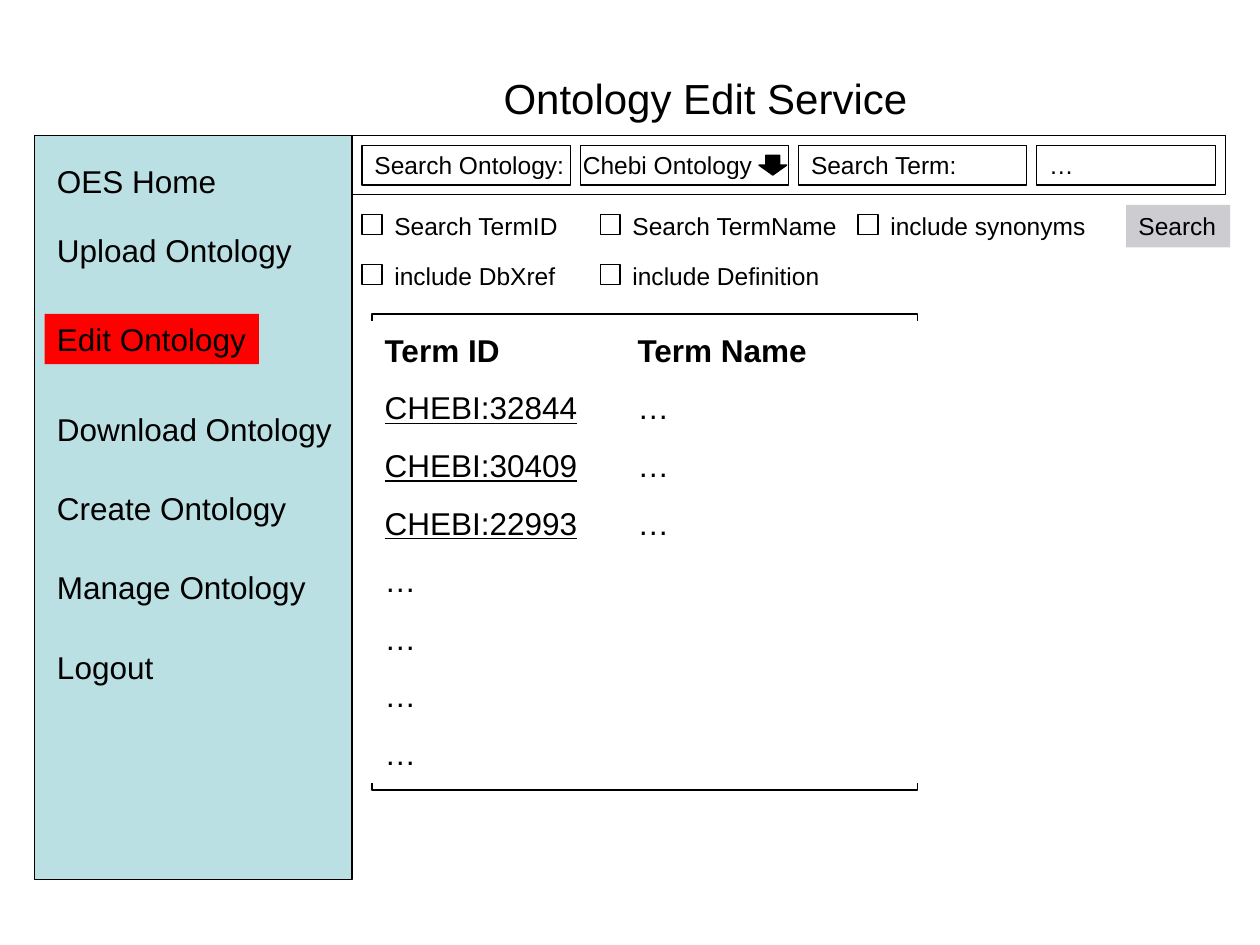
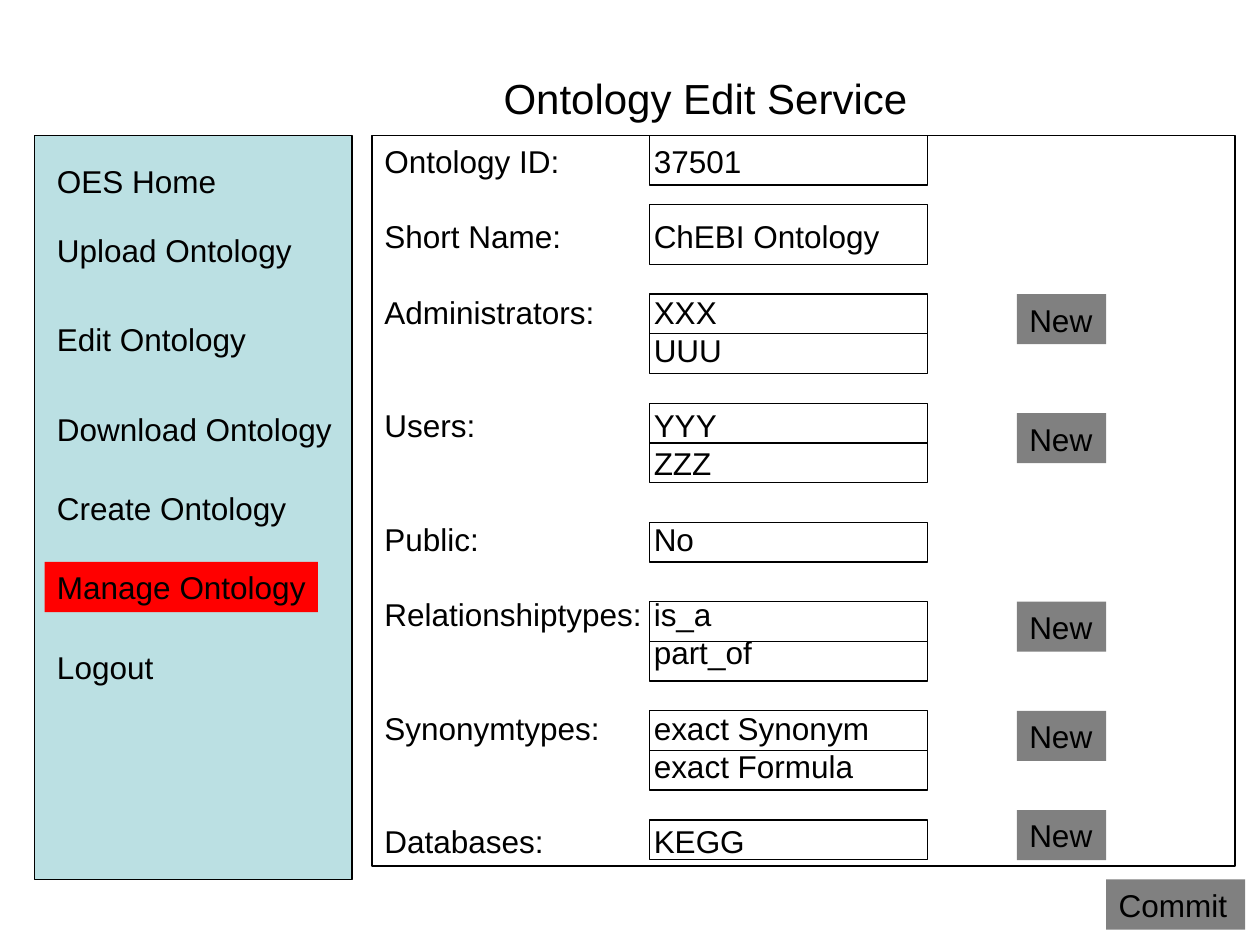
from pptx import Presentation
from pptx.dml.color import RGBColor
from pptx.enum.shapes import MSO_SHAPE as Shape
from pptx.enum.text import MSO_ANCHOR as Anchor
from pptx.oxml.ns import qn
from pptx.util import Cm, Pt
from lxml.etree import SubElement

BLACK = RGBColor(0x00, 0x00, 0x00)
PALE_BLUE = RGBColor(0xBB, 0xE0, 0xE3)
RED = RGBColor(0xFF, 0x00, 0x00)
LIGHT_GRAY = RGBColor(0xCD, 0xCD, 0xD1)
GRAY = RGBColor(0x80, 0x80, 0x80)
FONT = "Arial"
INSET_X, INSET_Y = 0.25, 0.13

# Menu entries: label, distance from panel top, width
MENU = [
    ("OES Home", 0.4, 3.7),
    ("Upload Ontology", 1.8, 5.24),
    ("Edit Ontology", 3.6, 4.32),
    ("Download Ontology", 5.4, 6.05),
    ("Create Ontology", 7.0, 5.13),
    ("Manage Ontology", 8.6, 5.51),
    ("Logout", 10.2, 2.44),
]

# Search fields: text, width, left inset
SEARCH_FIELDS = [
    ("Search Ontology:", 4.2, INSET_X),
    ("Chebi Ontology", 4.2, 0.05),
    ("Search Term:", 4.6, INSET_X),
    ("…", 3.6, INSET_X),
]

# Search options: label, column offset, row
OPTIONS = [
    ("Search TermID", 0, 0),
    ("Search TermName", 4.8, 0),
    ("include synonyms", 10, 0),
    ("include DbXref", 0, 1),
    ("include Definition", 4.8, 1),
]

RESULTS = [
    ("Term ID", "Term Name"),
    ("CHEBI:32844", "…"),
    ("CHEBI:30409", "…"),
    ("CHEBI:22993", "…"),
] + [("…", "")] * 4

# Form rows: label, values, field offset, field height, button offset
FORM = [
    ("Ontology ID:", ["37501"], 0, 1, None),
    ("Short Name:", ["ChEBI Ontology"], 1.4, 1.2, None),
    ("Administrators:", ["XXX", "UUU"], 3.2, 0.8, 3.2),
    ("Users:", ["YYY", "ZZZ"], 5.4, 0.8, 5.6),
    ("Public:", ["No"], 7.8, 0.8, None),
    ("Relationshiptypes:", ["is_a", "part_of"], 9.4, 0.8, 9.4),
    ("Synonymtypes:", ["exact Synonym", "exact Formula"], 11.6, 0.8, 11.6),
    ("Databases:", ["KEGG"], 13.8, 0.8, 13.6),
]


def style(p, size, bold=False, underline=False):
    p.line_spacing = Pt(1.2 * size)
    for r in p.runs:
        r.font.name = FONT
        r.font.size = Pt(size)
        r.font.bold = bold
        r.font.underline = underline
        r.font.color.rgb = BLACK


def set_text(sp, text, size, inset=INSET_X, anchor=Anchor.TOP, wrap=False):
    tf = sp.text_frame
    tf.word_wrap = wrap
    tf.vertical_anchor = anchor
    tf.margin_left, tf.margin_right = Cm(inset), Cm(0)
    tf.margin_top = tf.margin_bottom = Cm(INSET_Y)
    tf.text = text
    for p in tf.paragraphs:
        p.alignment = 1  # left
        style(p, size)
    return tf


def add_box(s, x, y, w, h, fill=None, line=BLACK, kind=Shape.RECTANGLE):
    sp = s.shapes.add_shape(kind, Cm(x), Cm(y), Cm(w), Cm(h))
    sp.shadow.inherit = False
    if fill is None:
        sp.fill.background()
    else:
        sp.fill.solid()
        sp.fill.fore_color.rgb = fill
    if line is None:
        sp.line.fill.background()
    else:
        sp.line.color.rgb = line
        sp.line.width = Pt(0.75)
    return sp


def add_label(s, text, x, y, w, h, size):
    sp = s.shapes.add_textbox(Cm(x), Cm(y), Cm(w), Cm(h))
    set_text(sp, text, size)


def add_button(s, text, x, y, w, h, fill, size=18):
    set_text(add_box(s, x, y, w, h, fill, line=None), text, size)


def add_page(prs, selected):
    """Add a slide with the service title and the menu."""
    s = prs.slides.add_slide(prs.slide_layouts[5])
    title = s.shapes.title
    title.left, title.top, title.width, title.height = Cm(9.9), Cm(1.33), Cm(8.8), Cm(1.2)
    set_text(title, "Ontology Edit Service", 24, wrap=True)
    add_menu(s, 0.7, 2.73, 6.4, 15, selected)
    return s


def add_menu(s, x, y, w, h, selected):
    add_box(s, x, y, w, h, PALE_BLUE)
    for text, offset, width in MENU:
        place = (x + 0.2, y + offset, width, 1.01)
        if text == selected:
            add_button(s, text, *place, RED)
        else:
            add_label(s, text, *place, 18)


def add_search_bar(s, x, y, w, h):
    add_box(s, x, y, w, h)
    gap = 0.2
    left = x + gap
    for text, width, inset in SEARCH_FIELDS:
        field = add_box(s, left, y + gap, width, h - 2 * gap)
        set_text(field, text, 14, inset, Anchor.MIDDLE)
        left += width + gap
    # Drop-down arrow
    add_box(s, x + 8.2, y + 0.4, 0.56, 0.4, BLACK, kind=Shape.DOWN_ARROW)


def add_options(s, x, y, w):
    size = 0.4
    for text, column, row in OPTIONS:
        left, top = x + column, y + row
        add_box(s, left, top + 0.2, size, size)
        add_label(s, text, left + size, top, 4.4, 0.86, 14)
    add_button(s, "Search", x + w - 2.1, y, 2.1, 0.86, LIGHT_GRAY, 14)


def add_results(s, x, y, w, h):
    add_box(s, x, y, w, h)
    row_height = 1.16
    table = s.shapes.add_table(
        len(RESULTS), 2, Cm(x), Cm(y + 0.15), Cm(w), Cm(row_height * len(RESULTS))
    ).table
    table.first_row = table.horz_banding = False
    first_width = 5.1
    table.columns[0].width = Cm(first_width)
    table.columns[1].width = Cm(w - first_width)
    for i, values in enumerate(RESULTS):
        table.rows[i].height = Cm(row_height)
        for j, value in enumerate(values):
            cell = table.cell(i, j)
            cell.fill.background()
            cell.vertical_anchor = Anchor.MIDDLE
            cell.text = value
            is_link = value.startswith("CHEBI:")
            style(cell.text_frame.paragraphs[0], 18, bold=i == 0, underline=is_link)


def add_form(s, x, y, w, h):
    # Labels and values, aligned by one tab stop
    lines, group_starts = [], set()
    for label, values, *_ in FORM:
        group_starts.add(len(lines))
        lines += [f"{label}\t{values[0]}"] + [f"\t{v}" for v in values[1:]]
    tf = set_text(add_box(s, x, y, w, h), "\n".join(lines), 18, wrap=True)
    for i, p in enumerate(tf.paragraphs):
        tabs = SubElement(p._p.get_or_add_pPr(), qn("a:tabLst"))
        SubElement(tabs, qn("a:tab"), pos=str(Cm(5.43)), algn="l")
        if i and i in group_starts:
            p.space_before = Pt(21.6)
    # Value fields and their buttons
    for _, values, offset, height, button in FORM:
        for i in range(len(values)):
            add_box(s, x + 5.6, y + offset + i * height, 5.6, height)
        if button is not None:
            add_button(s, "New", x + 13, y + button, 1.8, 1.01, GRAY)


def build_edit_slide(prs):
    s = add_page(prs, "Edit Ontology")
    add_search_bar(s, 7.1, 2.73, 17.6, 1.2)
    add_options(s, 7.3, 4.13, 17.5)
    add_results(s, 7.5, 6.33, 11, 9.6)


def build_manage_slide(prs):
    s = add_page(prs, "Manage Ontology")
    add_form(s, 7.5, 2.73, 17.4, 14.73)
    add_button(s, "Commit", 22.3, 17.73, 2.8, 1.01, GRAY)


def main():
    prs = Presentation()
    prs.slide_width, prs.slide_height = Cm(25.4), Cm(19.05)
    build_edit_slide(prs)
    build_manage_slide(prs)
    prs.save("out.pptx")


if __name__ == "__main__":
    main()
